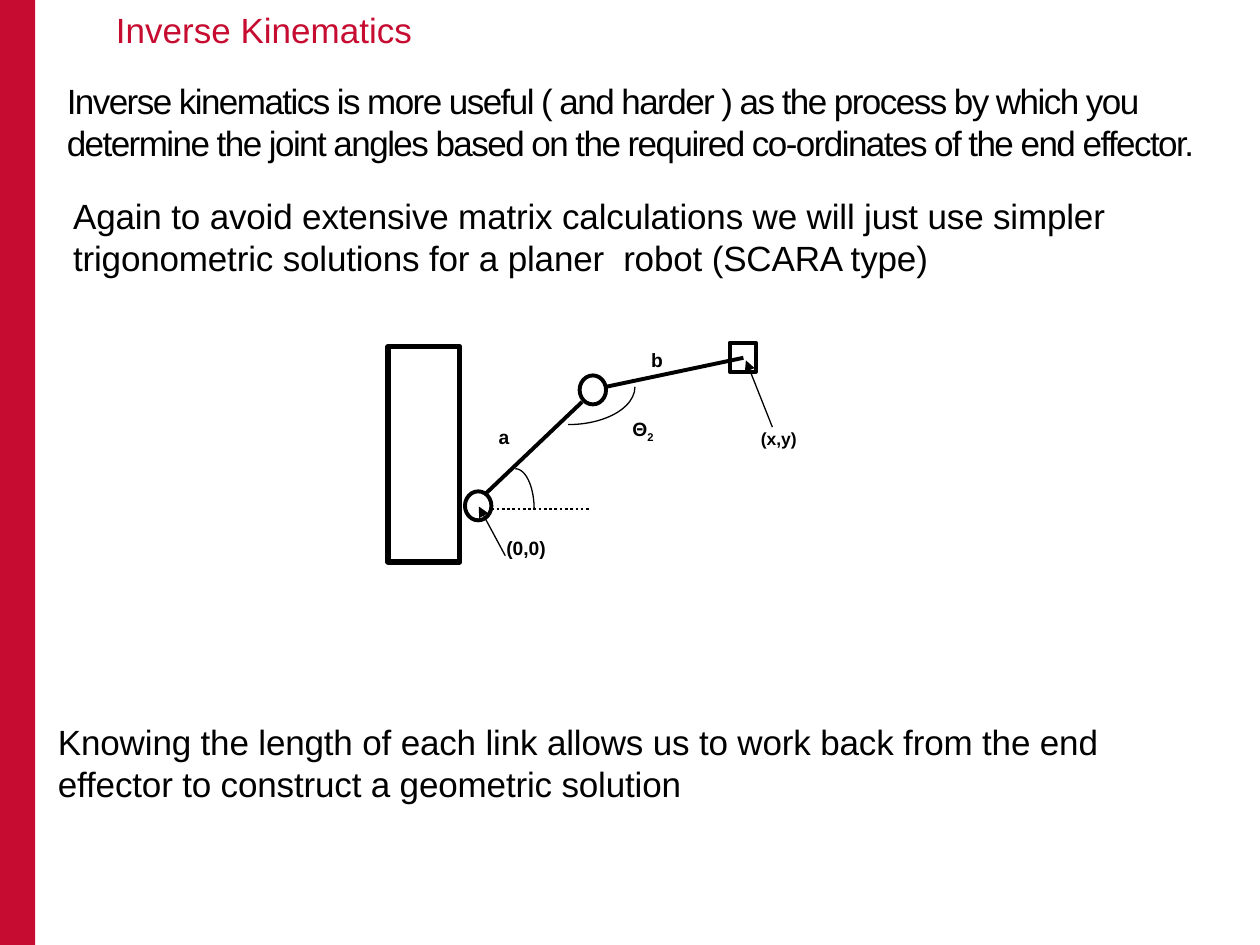
from dataclasses import dataclass

from lxml import etree
from pptx import Presentation
from pptx.dml.color import RGBColor
from pptx.enum.dml import MSO_LINE
from pptx.enum.shapes import MSO_CONNECTOR, MSO_SHAPE
from pptx.enum.text import MSO_ANCHOR, MSO_AUTO_SIZE, PP_ALIGN
from pptx.oxml.ns import qn
from pptx.util import Inches, Pt

RECT, OVAL, ARC = MSO_SHAPE.RECTANGLE, MSO_SHAPE.OVAL, MSO_SHAPE.ARC
STRAIGHT = MSO_CONNECTOR.STRAIGHT
DOTTED = MSO_LINE.ROUND_DOT
TOP, LEFT = MSO_ANCHOR.TOP, PP_ALIGN.LEFT
FIXED = MSO_AUTO_SIZE.NONE


@dataclass(frozen=True)
class Theme:
    font: str = "Arial"
    red: RGBColor = RGBColor(0xC6, 0x0C, 0x30)
    black: RGBColor = RGBColor(0, 0, 0)
    white: RGBColor = RGBColor(255, 255, 255)
    text: int = 20
    label: int = 11
    small_label: int = 10
    wall: float = 3
    link: float = 2.25
    baseline: float = 1.5
    thin: float = 0.75


def set_all(target, values):
    for name, value in values.items():
        setattr(target, name, value)


def box(*lengths):
    return [Inches(length) for length in lengths]


class RobotSlide:
    def __init__(self, slide, theme):
        self.shapes = slide.shapes
        self.theme = theme

    def fill_text(self, holder, text, size, color, bold=False, insets=None, indent=0,
                  spacing=0, paragraph_format=None):
        frame = holder.text_frame
        set_all(frame, {"word_wrap": True, "auto_size": FIXED, "vertical_anchor": TOP})
        if insets:
            sides = ("margin_left", "margin_top", "margin_right", "margin_bottom")
            set_all(frame, dict(zip(sides, box(*insets))))
        paragraph = frame.paragraphs[0]
        properties = paragraph._p.get_or_add_pPr()
        properties.set("marL", str(Inches(indent)))
        properties.set("indent", "0")
        etree.SubElement(properties, qn("a:buNone"))
        set_all(paragraph, {"alignment": LEFT, "space_before": Pt(0), **(paragraph_format or {})})
        for index, part in enumerate(text.split("_")):
            run = paragraph.add_run()
            run.text = part
            set_all(run.font, {"name": self.theme.font, "size": Pt(size), "bold": bold})
            run.font.color.rgb = color
            character = run._r.get_or_add_rPr()
            if spacing:
                character.set("spc", str(spacing))
            if index:
                character.set("baseline", "-25000")

    def place(self, holder, place):
        set_all(holder, dict(zip(("left", "top", "width", "height"), box(*place))))

    def title(self, text, place):
        holder = self.shapes.title
        self.place(holder, place)
        self.fill_text(holder, text, self.theme.text, self.theme.red, indent=0.5)

    def statement(self, text, place, spacing, holder=None):
        holder = holder or self.shapes.add_textbox(*box(*place))
        self.place(holder, place)
        self.fill_text(holder, text, self.theme.text, self.theme.black,
                       insets=(0, 0.01, 0, 0), spacing=spacing)

    def label(self, text, place, size=None, spaced=True):
        layout = {"line_spacing": 1.15, "space_after": Pt(10)} if spaced else None
        self.fill_text(self.shapes.add_textbox(*box(*place)), text, size or self.theme.label,
                       self.theme.black, bold=True, paragraph_format=layout)

    def shape(self, kind, place, fill=None, weight=None):
        shape = self.shapes.add_shape(kind, *box(*place))
        shape.shadow.inherit = False
        if fill is None:
            shape.fill.background()
        else:
            shape.fill.solid()
            shape.fill.fore_color.rgb = fill
        if weight is None:
            shape.line.fill.background()
        else:
            shape.line.color.rgb = self.theme.black
            shape.line.width = Pt(weight)
        return shape

    def angle(self, center, radii, start, end):
        (x, y), (rx, ry) = center, radii
        arc = self.shape(ARC, (x - rx, y - ry, 2 * rx, 2 * ry), weight=self.theme.thin)
        arc.adjustments[0] = start * 0.6
        arc.adjustments[1] = end * 0.6

    def line(self, start, end, weight, arrow=False, dash=None):
        line = self.shapes.add_connector(STRAIGHT, *box(*start, *end))
        line.line.color.rgb = self.theme.black
        set_all(line.line, {"width": Pt(weight), "dash_style": dash})
        properties = line._element.spPr
        if arrow:
            etree.SubElement(properties.find(qn("a:ln")), qn("a:tailEnd"), type="triangle")
        etree.SubElement(properties, qn("a:effectLst"))


def main():
    theme = Theme()
    deck = Presentation()
    deck.slide_width, deck.slide_height = box(10, 7.5)
    slide = deck.slides.add_slide(deck.slide_layouts[1])
    robot = RobotSlide(slide, theme)

    robot.shape(RECT, (0, 0, 0.28, 7.5), theme.red)
    robot.title("Inverse Kinematics", (0.32, 0.02, 8.94, 0.56))
    robot.statement(
        "Inverse kinematics is more useful ( and harder ) as the process by which you "
        "determine the joint angles based on the required co-ordinates of the end effector.",
        (0.53, 0.62, 9.01, 0.69), -90, slide.placeholders[1])
    robot.statement(
        "Again to avoid extensive matrix calculations we will just use simpler "
        "trigonometric solutions for a planer  robot (SCARA type)",
        (0.58, 1.53, 9.01, 0.69), -10)
    robot.statement(
        "Knowing the length of each link allows us to work back from the end "
        "effector to construct a geometric solution",
        (0.46, 5.71, 9.01, 0.69), -10)

    joint = (0.21, 0.23)
    robot.shape(RECT, (3.08, 2.75, 0.57, 1.71), theme.white, theme.wall)
    robot.line((3.8, 3.97), (4.62, 3.19), theme.link)
    robot.shape(RECT, (5.79, 2.72, *joint), theme.white, theme.link)
    robot.line((5.9, 2.84), (4.81, 3.07), theme.link)
    for corner in ((4.6, 2.98), (3.69, 3.9)):
        robot.shape(OVAL, (*corner, *joint), theme.white, theme.link)

    robot.angle((4.51, 3.07), (0.53, 0.3), 0, 90)
    robot.angle((4.09, 4.04), (0.15, 0.32), 270, 0)
    robot.line((3.9, 4.04), (4.68, 4.04), theme.baseline, dash=DOTTED)
    for start, end in (((6.13, 3.39), (5.92, 2.86)), ((4.01, 4.41), (3.8, 4.02))):
        robot.line(start, end, theme.thin, arrow=True)

    for text, corner in (("b", (5.07, 2.69)), ("a", (3.86, 3.3)),
                         ("(0,0)", (3.92, 4.18)), ("Θ_2", (4.92, 3.23))):
        robot.label(text, (*corner, 1.43, 0.6))
    robot.label("(x,y)", (5.94, 3.35, 1.79, 0.95), theme.small_label, spaced=False)

    deck.save("out.pptx")


if __name__ == "__main__":
    main()
